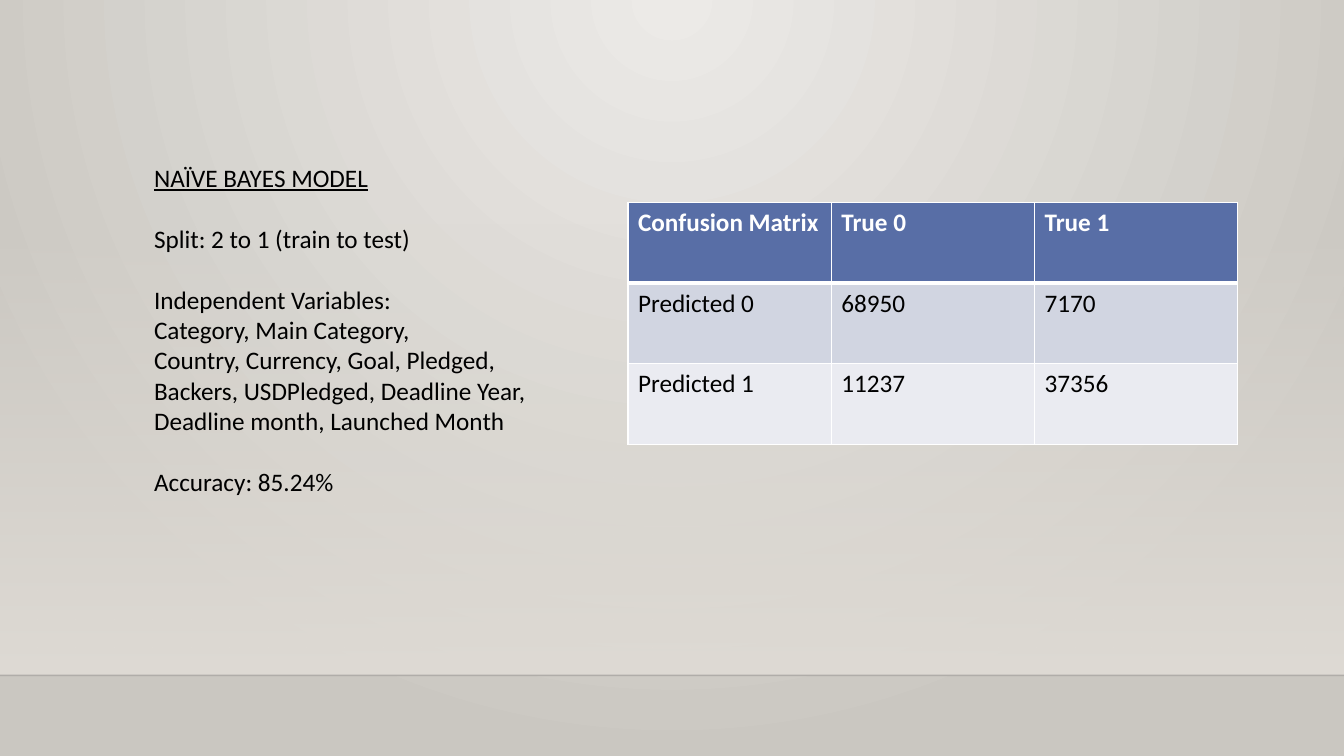
from lxml import etree
from pptx import Presentation
from pptx.dml.color import RGBColor as RGB
from pptx.enum.shapes import MSO_CONNECTOR as Connector, MSO_SHAPE as Shape
from pptx.enum.text import MSO_AUTO_SIZE as AutoSize
from pptx.oxml import parse_xml
from pptx.oxml.ns import nsdecls, qn
from pptx.util import Inches, Pt

COLORS = {
    "glow": "ECEAE7", "edge": "CAC7C1", "wall": "DFDBD5", "floor_line": "000001",
    "text": "000000", "white": "FFFFFF", "header": "586EA6",
    "band_dark": "D1D5E1", "band_light": "EAEBF1",
}
FONT = "Calibri"


def set_gradient(parent, start, end, direction):
    gradient = parse_xml(
        f'<a:gradFill {nsdecls("a")} rotWithShape="1"><a:gsLst>'
        f'<a:gs pos="0">{start}</a:gs><a:gs pos="100000">{end}</a:gs>'
        f'</a:gsLst>{direction}</a:gradFill>')
    parent.replace(parent.find(qn("a:solidFill")), gradient)


def style_font(font, color):
    font.name, font.size = FONT, Pt(18)
    font.color.rgb = RGB.from_string(COLORS[color])


deck = Presentation()
deck.slide_width, deck.slide_height = Inches(13.333), Inches(7.5)
slide = deck.slides.add_slide(deck.slide_layouts[6])

slide.background.fill.solid()
set_gradient(
    slide.element.find(".//" + qn("p:bgPr")),
    f'<a:srgbClr val="{COLORS["glow"]}"/>',
    f'<a:srgbClr val="{COLORS["edge"]}"/>',
    '<a:path path="circle"><a:fillToRect l="43000" t="0" r="43000" b="100000"/></a:path>')

wall = slide.shapes.add_shape(Shape.RECTANGLE, 0, Inches(2.21), deck.slide_width, Inches(4.49))
wall.shadow.inherit = False
wall.line.fill.background()
wall.fill.solid()
set_gradient(
    wall.element.spPr,
    f'<a:srgbClr val="{COLORS["wall"]}"><a:alpha val="0"/></a:srgbClr>',
    f'<a:srgbClr val="{COLORS["wall"]}"/>',
    '<a:lin ang="5400000" scaled="0"/>')

floor_line = slide.shapes.add_connector(
    Connector.STRAIGHT, 0, Inches(6.7), deck.slide_width, Inches(6.7))
floor_line.line.width = Pt(1)
floor_line.line.color.rgb = RGB.from_string(COLORS["floor_line"])
floor_props = floor_line.element.spPr
etree.SubElement(floor_props.find(".//" + qn("a:srgbClr")), qn("a:alpha"), val="20000")
etree.SubElement(floor_props, qn("a:effectLst"))

SECTIONS = [
    ["NAÏVE BAYES MODEL"],
    ["Split: 2 to 1 (train to test)"],
    ["Independent Variables:",
     "Category, Main Category, Country,\u00a0Currency, Goal, Pledged, Backers,\u00a0USDPledged, "
     "Deadline Year, Deadline\u00a0month, Launched Month"],
    ["Accuracy: 85.24%"],
]
summary = slide.shapes.add_textbox(
    Inches(1.43), Inches(1.56), Inches(3.98), Inches(4.04)).text_frame
summary.word_wrap = True
summary.auto_size = AutoSize.SHAPE_TO_FIT_TEXT
for s, section in enumerate(SECTIONS):
    for i, sentence in enumerate(section):
        paragraph = summary.paragraphs[0] if s == 0 else summary.add_paragraph()
        paragraph.text = sentence
        style_font(paragraph.font, "text")
        if s == 0:
            paragraph.font.underline = True
        elif i == 0:
            paragraph.space_before = Pt(22)

MATRIX = [
    ["Confusion Matrix", "True 0", "True 1"],
    ["Predicted 0", "68950", "7170"],
    ["Predicted 1", "11237", "37356"],
]
ROW_FILLS = ["header", "band_dark", "band_light"]
matrix = slide.shapes.add_table(
    3, 3, Inches(6.23), Inches(2.01), Inches(6.05), Inches(2.4)).table
for r, values in enumerate(MATRIX):
    for c, value in enumerate(values):
        cell = matrix.cell(r, c)
        cell_props = cell._tc.get_or_add_tcPr()
        for side in "LRTB":
            width = Pt(3) if (r, side) in [(0, "B"), (1, "T")] else Pt(1)
            cell_props.append(parse_xml(
                f'<a:ln{side} {nsdecls("a")} w="{width}"><a:solidFill>'
                f'<a:srgbClr val="{COLORS["white"]}"/></a:solidFill></a:ln{side}>'))
        cell.fill.solid()
        cell.fill.fore_color.rgb = RGB.from_string(COLORS[ROW_FILLS[r]])
        cell.text = value
        label = cell.text_frame.paragraphs[0]
        style_font(label.font, "white" if r == 0 else "text")
        label.font.bold = r == 0

deck.save("out.pptx")
